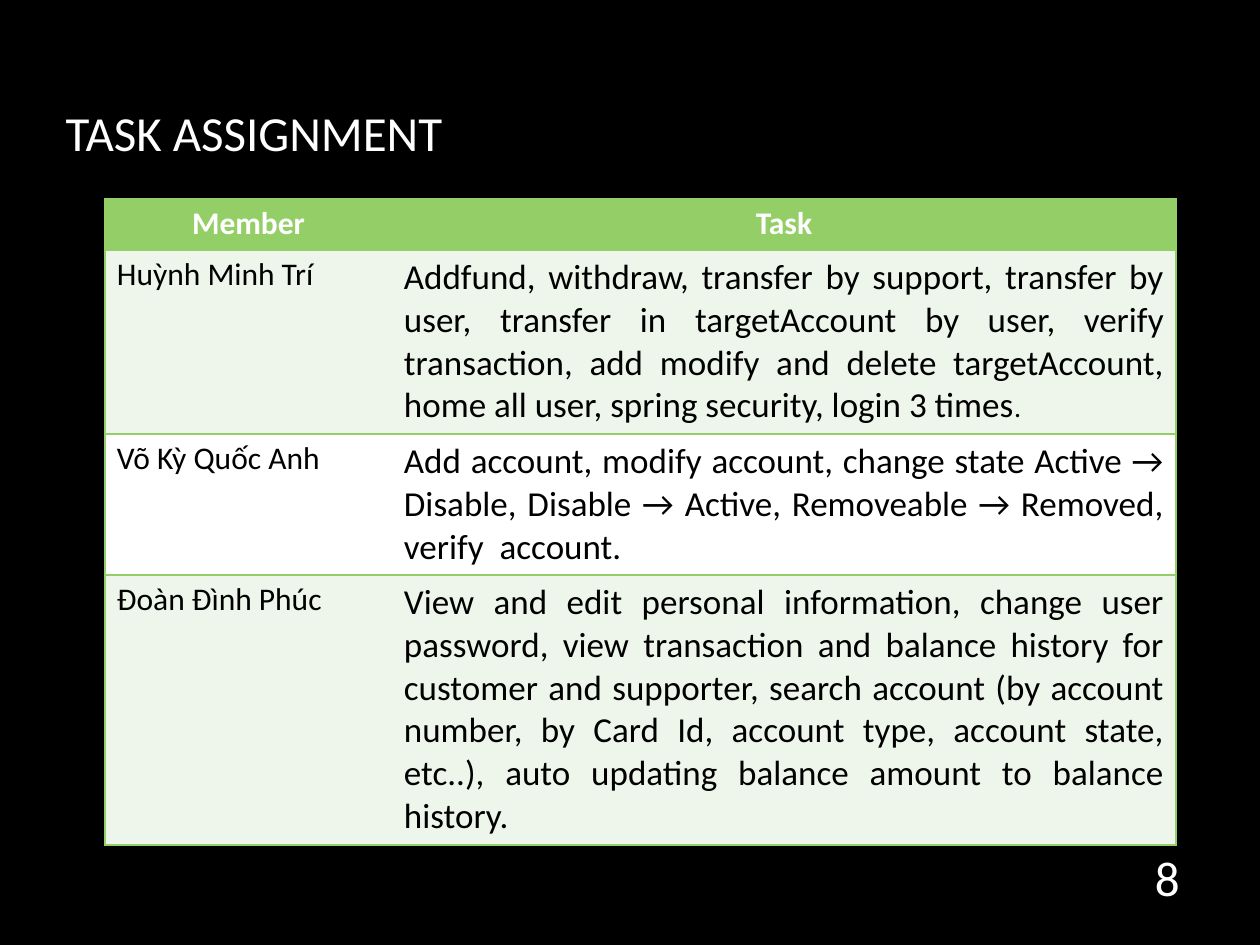
from collections import namedtuple
from dataclasses import dataclass

from lxml.etree import SubElement
from pptx import Presentation
from pptx.dml.color import RGBColor as RGB
from pptx.enum.text import MSO_ANCHOR as Anchor, PP_ALIGN as Align
from pptx.oxml.ns import qn
from pptx.util import Emu, Pt

Box = namedtuple("Box", "x y w h")


@dataclass(frozen=True)
class Theme:
    font: str = "Calibri"
    back: str = "000000"
    light: str = "FFFFFF"
    dark: str = "000000"
    green: str = "94CE67"
    pale: str = "EEF6EB"
    big: int = 28
    body: int = 20
    small: int = 18
    tiny: int = 16
    line: int = 1


THEME = Theme()
HEAD = ("Member", "Task")
# Each task is a list of (text, size) runs
TASKS = [
    ("Huỳnh Minh Trí", [
        ("Addfund, withdraw, transfer by support, transfer by user, "
         "transfer in targetAccount by user, verify transaction, add modify "
         "and delete targetAccount, home all user, spring security, "
         "login 3 times", THEME.body),
        (".", THEME.tiny)]),
    ("Võ Kỳ Quốc Anh", [
        ("Add account, modify account, change state Active → Disable, "
         "Disable → Active, Removeable → Removed, verify  account.",
         THEME.body)]),
    ("Đoàn Đình Phúc", [
        ("View and edit personal information, change user password, view "
         "transaction and balance history for customer and supporter, search "
         "account (by account number, by Card Id, account type, account "
         "state, etc..), auto updating balance amount to balance history.",
         THEME.body)]),
]


def px(n):
    return Emu(round(n * 914400 / 126))


def apply(obj, style):
    for key, val in style.items():
        setattr(obj, key, val)


def write(frame, runs, color, align, bold=False):
    para = frame.paragraphs[0]
    para.alignment = align
    for text, size in runs:
        run = para.add_run()
        run.text = text
        apply(run.font, {"name": THEME.font, "size": Pt(size), "bold": bold})
        run.font.color.rgb = RGB.from_string(color)


def place(shape, box):
    apply(shape, dict(left=px(box.x), top=px(box.y),
                      width=px(box.w), height=px(box.h)))
    apply(shape.text_frame, {"word_wrap": True,
                             "vertical_anchor": Anchor.MIDDLE})


def edge(cell, sides):
    """Draw the named sides of a cell and clear the others."""
    props = cell._tc.get_or_add_tcPr()
    for i, side in enumerate("LRTB"):
        line = SubElement(props, qn(f"a:ln{side}"), w=str(Pt(THEME.line)))
        if side in sides:
            fill = SubElement(line, qn("a:solidFill"))
            SubElement(fill, qn("a:srgbClr"), val=THEME.green)
        else:
            SubElement(line, qn("a:noFill"))
        props.insert(i, line)


def add_title(slide, box):
    title = slide.shapes.title
    place(title, box)
    write(title.text_frame, [("TASK ASSIGNMENT", THEME.big)],
          THEME.light, Align.LEFT)


def add_tasks(slide, box):
    frame = slide.shapes.add_table(len(TASKS) + 1, len(HEAD),
                                   *(px(n) for n in box))
    table = frame.table
    table.horz_banding = False
    first = 287
    for col, wide in zip(table.columns, (first, box.w - first)):
        col.width = px(wide)
    for row, high in zip(table.rows, (51, 184, 141, 270)):
        row.height = px(high)

    def fill(r, c, runs, back, *look):
        cell = table.cell(r, c)
        apply(cell, dict(margin_left=px(12), margin_right=px(12),
                         margin_top=px(6), margin_bottom=px(6)))
        cell.fill.solid()
        cell.fill.fore_color.rgb = RGB.from_string(back)
        edge(cell, "RTB" if c else "LTB")
        write(cell.text_frame, runs, *look)

    # Header row
    for c, text in enumerate(HEAD):
        fill(0, c, [(text, THEME.small)], THEME.green,
             THEME.light, Align.CENTER, True)
    # Member rows, banded
    for r, (name, task) in enumerate(TASKS, 1):
        back = THEME.pale if r % 2 else THEME.light
        fill(r, 0, [(name, THEME.small)], back, THEME.dark, Align.LEFT)
        fill(r, 1, task, back, THEME.dark, Align.JUSTIFY)


def add_number(slide, box):
    note = slide.shapes.add_textbox(0, 0, 0, 0)
    place(note, box)
    write(note.text_frame, [("8", THEME.big)], THEME.light, Align.RIGHT)


def main():
    deck = Presentation()
    apply(deck, {"slide_width": px(1260), "slide_height": px(945)})
    slide = deck.slides.add_slide(deck.slide_layouts[5])
    slide.background.fill.solid()
    slide.background.fill.fore_color.rgb = RGB.from_string(THEME.back)
    add_title(slide, Box(53, 32, 1071, 200))
    add_tasks(slide, Box(105, 199, 1071, 646))
    add_number(slide, Box(1134, 851, 58, 52))
    deck.save("out.pptx")


if __name__ == "__main__":
    main()
